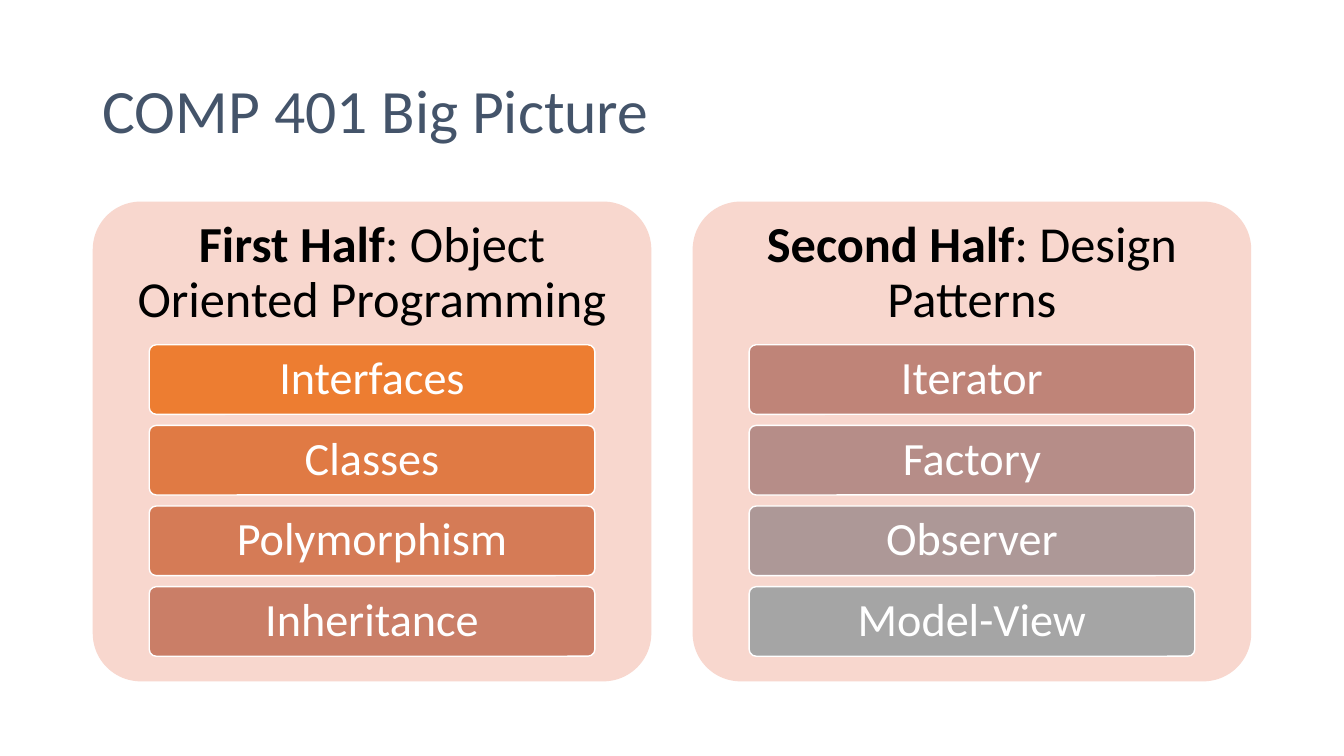
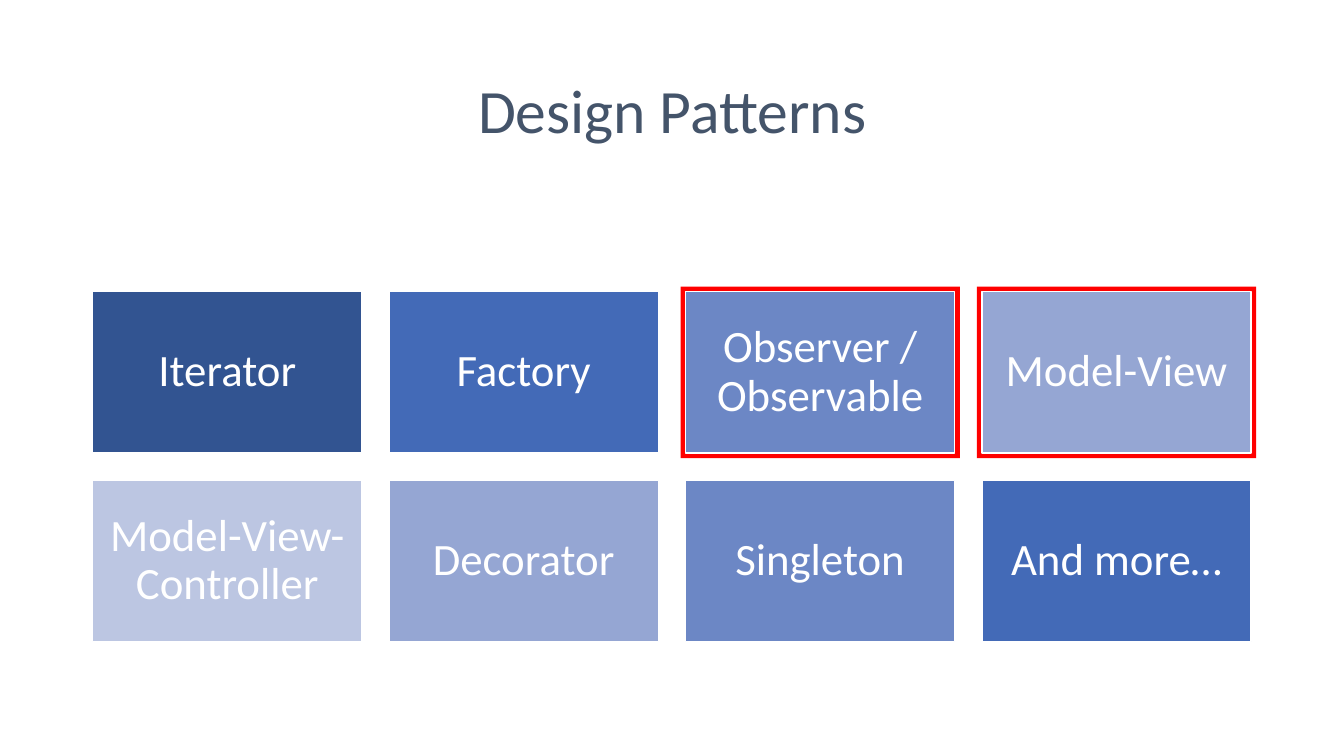
from dataclasses import dataclass

from pptx import Presentation
from pptx.dml.color import RGBColor
from pptx.enum.shapes import MSO_SHAPE
from pptx.enum.text import MSO_ANCHOR, PP_ALIGN
from pptx.util import Inches, Pt


@dataclass(frozen=True)
class Theme:
    font: str = "Calibri"
    title: str = "44546A"
    dark: str = "000000"
    light: str = "FFFFFF"
    panel: str = "F8D7CE"
    mark: str = "FF0000"
    title_size: int = 44
    head_size: int = 36
    bar_size: int = 33
    tile_size: int = 32
    spacing: float = 0.9


@dataclass(frozen=True)
class Box:
    x: float
    y: float
    w: float
    h: float

    def grow(self, pad):
        return Box(self.x - pad, self.y - pad, self.w + 2 * pad, self.h + 2 * pad)

    def place(self):
        return [Inches(n) for n in (self.x, self.y, self.w, self.h)]


THEME = Theme()
TITLE = Box(0.92, 0.4, 11.5, 1.45)
BODY = Box(0.92, 2, 11.49, 4.76)

HALVES = [
    ("First Half", ": Object Oriented Programming", [
        ("Interfaces", "ED7D31"), ("Classes", "E07A44"),
        ("Polymorphism", "D57B56"), ("Inheritance", "CA7E67")]),
    ("Second Half", ": Design Patterns", [
        ("Iterator", "BF8478"), ("Factory", "B68D88"),
        ("Observer", "AD9897"), ("Model-View", "A5A5A5")]),
]

PATTERNS = [
    ("Iterator", "325491"), ("Factory", "436AB7"),
    ("Observer / Observable", "6C87C5"), ("Model-View", "95A6D3"),
    ("Model-View-Controller", "BCC6E2"), ("Decorator", "95A6D3"),
    ("Singleton", "6C87C5"), ("And more…", "436AB7"),
]
MARKED = {"Observer / Observable", "Model-View"}


def write(shape, parts, size, color, align=PP_ALIGN.CENTER, inset=(0.1, 0.05)):
    """Set one paragraph from (text, bold) parts, centred vertically."""
    frame = shape.text_frame
    frame.word_wrap = True
    frame.vertical_anchor = MSO_ANCHOR.MIDDLE
    frame.margin_left = frame.margin_right = Inches(inset[0])
    frame.margin_top = frame.margin_bottom = Inches(inset[1])
    line = frame.paragraphs[0]
    line.alignment = align
    line.line_spacing = THEME.spacing
    for text, bold in parts:
        run = line.add_run()
        run.text = text
        run.font.name = THEME.font
        run.font.size = Pt(size)
        run.font.bold = bold
        run.font.color.rgb = RGBColor.from_string(color)


def add_block(slide, kind, box, fill, edge=None):
    shape = slide.shapes.add_shape(kind, *box.place())
    shape.shadow.inherit = False
    shape.fill.solid()
    shape.fill.fore_color.rgb = RGBColor.from_string(fill)
    if edge:
        shape.line.color.rgb = RGBColor.from_string(edge)
        shape.line.width = Pt(1)
    else:
        shape.line.fill.background()
    if kind == MSO_SHAPE.ROUNDED_RECTANGLE:
        shape.adjustments[0] = 0.1
    return shape


def add_title(slide, text, align):
    box = slide.shapes.add_textbox(*TITLE.place())
    write(box, [(text, False)], THEME.title_size, THEME.title, align)


def add_panel(slide, box, name, topic, bars):
    """Draw a rounded panel with a heading and a stack of bars."""
    rounded = MSO_SHAPE.ROUNDED_RECTANGLE
    add_block(slide, rounded, box, THEME.panel)
    head = slide.shapes.add_textbox(*Box(box.x, box.y, box.w, 1.43).place())
    write(head, [(name, True), (topic, False)], THEME.head_size, THEME.dark,
          inset=(0.15, 0.15))
    side, top, pitch, height = 0.56, 1.42, 0.8, 0.69
    for row, (text, fill) in enumerate(bars):
        spot = Box(box.x + side, box.y + top + row * pitch,
                   box.w - 2 * side, height)
        bar = add_block(slide, rounded, spot, fill, THEME.light)
        write(bar, [(text, False)], THEME.bar_size, THEME.light,
              inset=(0.09, 0.07))


def add_halves(slide, box):
    gap = 0.41
    width = (box.w - gap) / 2
    for col, half in enumerate(HALVES):
        spot = Box(box.x + col * (width + gap), box.y, width, box.h)
        add_panel(slide, spot, *half)


def add_tiles(slide, box):
    """Draw the patterns in a grid centred in the box, framing marked ones."""
    cols, gap, height = 4, 0.27, 1.6
    width = (box.w - (cols - 1) * gap) / cols
    rows = len(PATTERNS) // cols
    top = box.y + (box.h - rows * height - (rows - 1) * gap) / 2 + 0.25
    for index, (text, fill) in enumerate(PATTERNS):
        row, col = divmod(index, cols)
        spot = Box(box.x + col * (width + gap), top + row * (height + gap),
                   width, height)
        if text in MARKED:
            add_block(slide, MSO_SHAPE.RECTANGLE, spot.grow(0.05), THEME.mark)
        tile = add_block(slide, MSO_SHAPE.RECTANGLE, spot, fill, THEME.light)
        write(tile, [(text, False)], THEME.tile_size, THEME.light,
              inset=(0.13, 0.13))


def main():
    deck = Presentation()
    deck.slide_width, deck.slide_height = Inches(13.33), Inches(7.5)
    pages = [
        ("COMP 401 Big Picture", PP_ALIGN.LEFT, add_halves),
        ("Design Patterns", PP_ALIGN.CENTER, add_tiles),
    ]
    for title, align, fill in pages:
        slide = deck.slides.add_slide(deck.slide_layouts[6])
        add_title(slide, title, align)
        fill(slide, BODY)
    deck.save("out.pptx")


if __name__ == "__main__":
    main()
